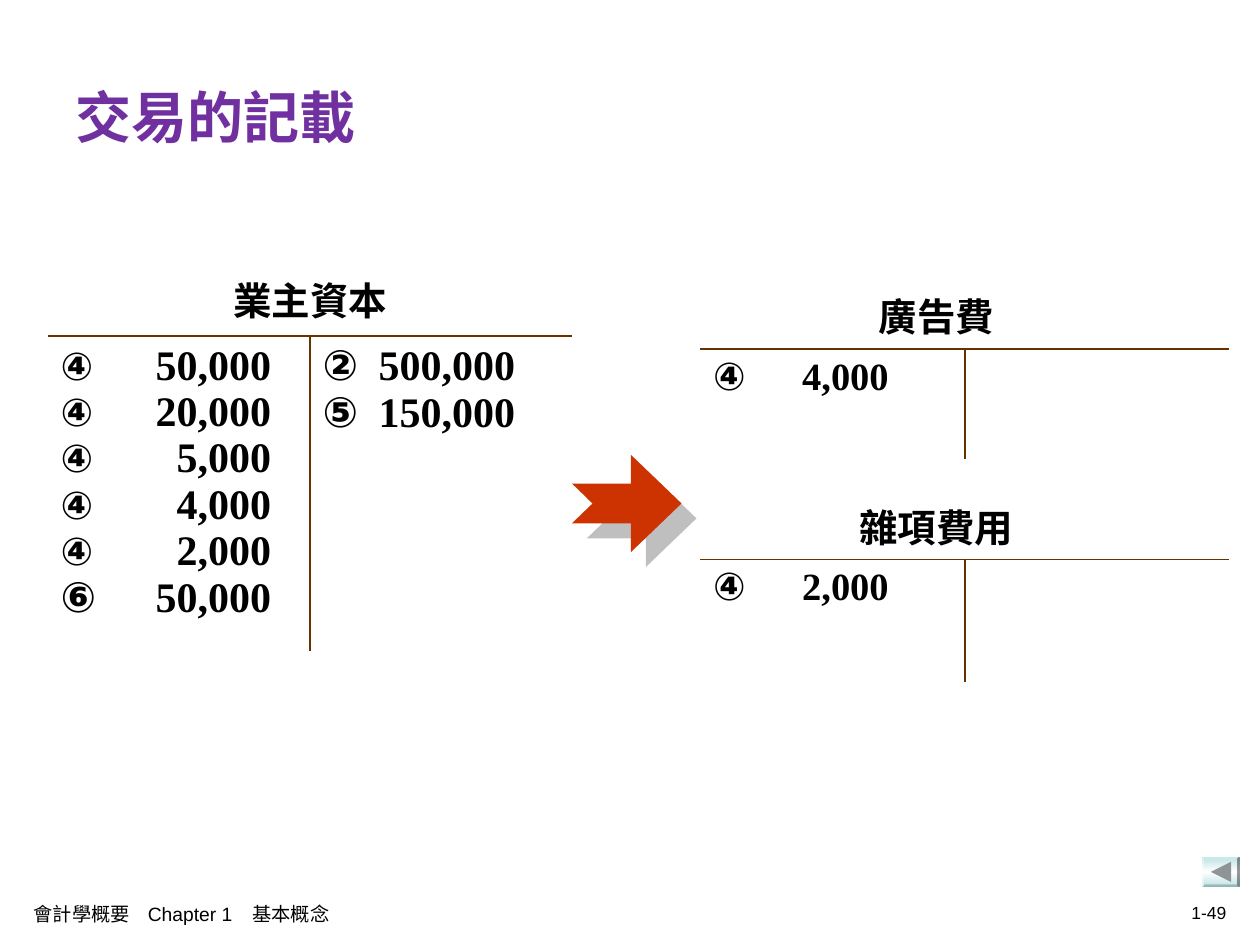
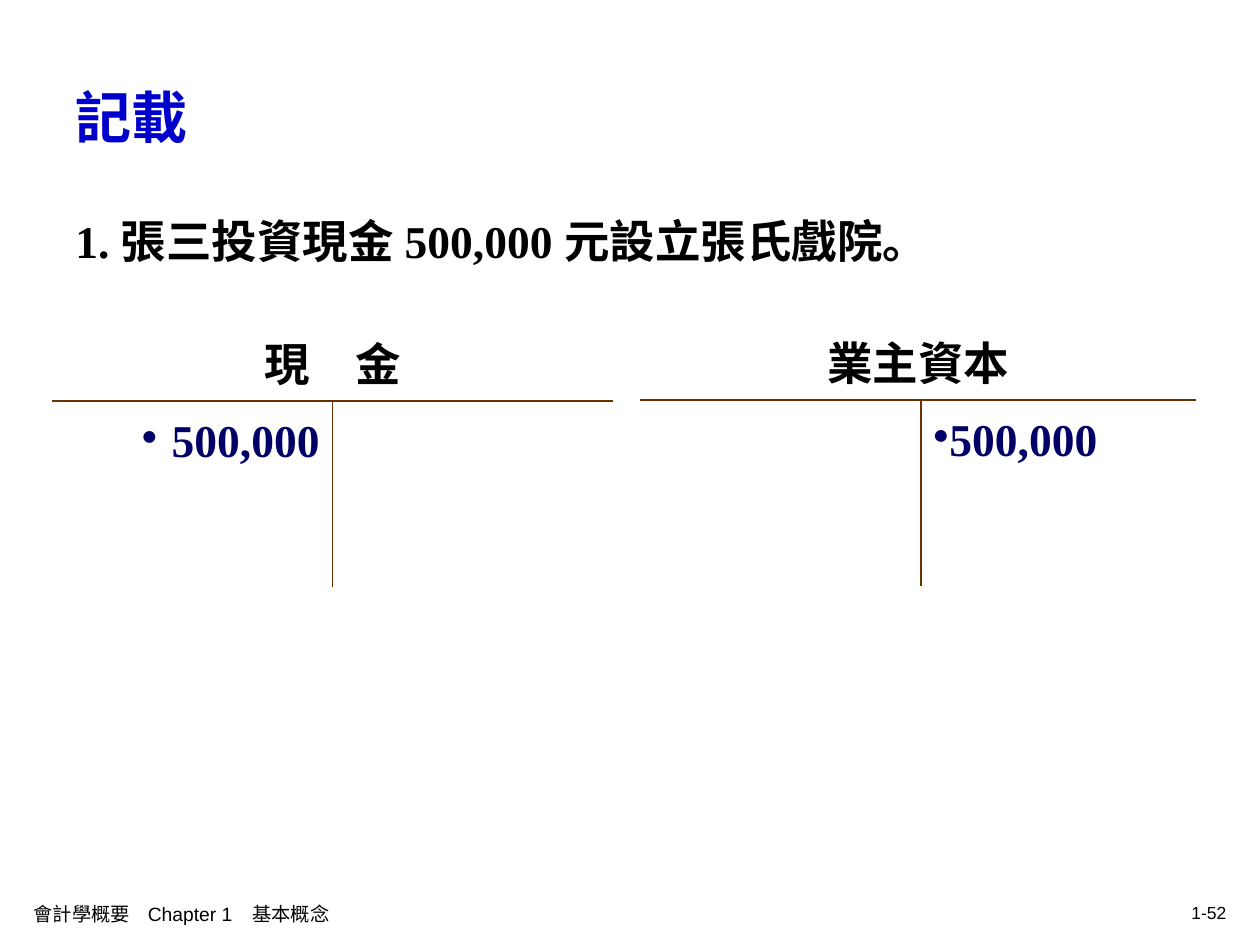
from lxml.etree import SubElement
from pptx import Presentation
from pptx.dml.color import RGBColor
from pptx.enum.shapes import MSO_SHAPE
from pptx.enum.text import MSO_ANCHOR, PP_ALIGN
from pptx.oxml import parse_xml
from pptx.oxml.ns import nsdecls, qn
from pptx.util import Cm, Pt

COLOURS = {
    "text": "000000", "purple": "7030A0", "blue": "0000CC", "navy": "000066",
    "rule": "663300", "arrow": "CC3300", "shadow": "808080",
    "button_edge": "BBE0E3", "button_middle": "FFFFFF", "button_sign": "8F9494",
}
SERIF, SANS = "Times New Roman", "Arial"
RULE_WIDTH = Pt(1.08)
FOOTER = "會計學概要\tChapter 1\t基本概念"
FOOTER_TABS = [(2.3, "l"), (4.41, "l")]

# Entries of a side are (marker, amount, marker size, amount size);
# tabs holds the right edge of the amounts on each side. Lengths in cm.
OWNER_CAPITAL = {
    "name": "業主資本", "size": 22, "left": 0.97, "top": 5.28,
    "columns": (5.28, 5.28), "rows": (1.5, 6.35), "tabs": (4.24, 3.88),
    "sides": (
        [("④", "50,000", 22, 24), ("④", "20,000", 22, 24), ("④", "5,000", 22, 24),
         ("④", "4,000", 22, 24), ("④", "2,000", 22, 24), ("⑥", "50,000", 24, 24)],
        [("②", "500,000", 24, 24), ("⑤", "150,000", 24, 24)],
    ),
}
EXPENSE = {
    "size": 22, "left": 14.12, "columns": (5.33, 5.33), "tabs": (3.54, 3.54),
    "name_spacing": 1.2, "name_margin_right": 1.4,
}
ADVERTISING = {**EXPENSE, "name": "廣告費", "top": 5.44, "rows": (1.6, 2.21),
               "sides": ([("④", "4,000", 22, 22)], [])}
SUNDRY = {**EXPENSE, "name": "雜項費用", "top": 9.68, "rows": (1.6, 2.46),
          "sides": ([("④", "2,000", 22, 22)], [])}
CASH = {"name": "現\u3000金".replace("\u3000", "　"), "size": 26, "left": 1.04, "top": 6.5,
        "columns": (5.66, 5.66), "rows": (1.58, 3.76), "sides": (["500,000"], [])}
INVESTED_CAPITAL = {"name": "業主資本", "size": 26, "left": 12.9, "top": 6.48,
                    "columns": (5.66, 5.56), "rows": (1.58, 3.76),
                    "sides": ([], ["500,000"])}

SLIDES = [
    {"title": "交易的記載", "title_colour": "purple", "number": "1-49",
     "accounts": [ADVERTISING, OWNER_CAPITAL, SUNDRY], "arrow_and_button": True},
    {"title": "記載", "title_colour": "blue", "number": "1-52",
     "transaction": "1. 張三投資現金 500,000 元設立張氏戲院。",
     "accounts": [CASH, INVESTED_CAPITAL]},
]


def colour(name):
    return RGBColor.from_string(COLOURS[name])


def set_font(font, size, name=SERIF, bold=True, colour_name="text"):
    font.size, font.name, font.bold = Pt(size), name, bold
    font.color.rgb = colour(colour_name)


def set_tabs(paragraph, tabs):
    tab_list = SubElement(paragraph._p.get_or_add_pPr(), qn("a:tabLst"))
    for position, alignment in tabs:
        SubElement(tab_list, qn("a:tab"), pos=str(Cm(position)), algn=alignment)


def add_text(slide, text, box, size, anchor=MSO_ANCHOR.MIDDLE, tabs=(), **font):
    frame = slide.shapes.add_textbox(*map(Cm, box)).text_frame
    frame.word_wrap = True
    frame.vertical_anchor = anchor
    paragraph = frame.paragraphs[0]
    paragraph.text = text
    if tabs:
        set_tabs(paragraph, tabs)
    set_font(paragraph.font, size, **font)
    return paragraph


def draw_borders(cell, edges):
    """Rule the named edges (L, R, T, B) of a cell and clear the others."""
    properties = cell._tc.get_or_add_tcPr()
    for position, edge in enumerate("LRTB"):
        width = RULE_WIDTH if edge in edges else 0
        paint = (f'<a:solidFill><a:srgbClr val="{COLOURS["rule"]}"/></a:solidFill>'
                 if edge in edges else "<a:noFill/>")
        properties.insert(position, parse_xml(
            f'<a:ln{edge} {nsdecls("a")} w="{int(width)}">{paint}</a:ln{edge}>'))


def write_numbered_entry(paragraph, entry, tab):
    marker, amount, marker_size, amount_size = entry
    set_tabs(paragraph, [(tab, "r")])
    for text, size, font_name in ((marker, marker_size, SANS),
                                  ("\t" + amount, amount_size, SERIF)):
        run = paragraph.add_run()
        run.text = text
        set_font(run.font, size, font_name)


def write_bulleted_entry(paragraph, amount, size, alignment):
    paragraph.text = amount
    paragraph.alignment = alignment
    paragraph.line_spacing = 1.2
    properties = paragraph._p.get_or_add_pPr()
    bullet_colour = SubElement(properties, qn("a:buClr"))
    SubElement(bullet_colour, qn("a:srgbClr"), val=COLOURS["navy"])
    SubElement(properties, qn("a:buChar"), char="•")
    set_font(paragraph.font, size, colour_name="navy")


def add_account(slide, account):
    """Draw a T account: its name above a rule, debits left and credits right."""
    columns, rows = account["columns"], account["rows"]
    table = slide.shapes.add_table(
        2, 2, Cm(account["left"]), Cm(account["top"]),
        Cm(sum(columns)), Cm(sum(rows))).table
    table.first_row = table.horz_banding = False
    for column, width in zip(table.columns, columns):
        column.width = Cm(width)
    for row, height in zip(table.rows, rows):
        row.height = Cm(height)
    for cell in table.iter_cells():
        cell.fill.background()

    heading = table.cell(0, 0)
    heading.merge(table.cell(0, 1))
    heading.vertical_anchor = MSO_ANCHOR.MIDDLE
    if "name_margin_right" in account:
        heading.margin_right = Cm(account["name_margin_right"])
    paragraph = heading.text_frame.paragraphs[0]
    paragraph.text = account["name"]
    paragraph.alignment = PP_ALIGN.CENTER
    paragraph.line_spacing = account.get("name_spacing")
    set_font(paragraph.font, account["size"])
    for index in range(2):
        draw_borders(table.cell(0, index), "B")

    for index, entries in enumerate(account["sides"]):
        cell = table.cell(1, index)
        draw_borders(cell, ("TR", "TL")[index])
        frame = cell.text_frame
        for number, entry in enumerate(entries):
            paragraph = frame.add_paragraph() if number else frame.paragraphs[0]
            if "tabs" in account:
                write_numbered_entry(paragraph, entry, account["tabs"][index])
            else:
                write_bulleted_entry(paragraph, entry, account["size"],
                                     (PP_ALIGN.RIGHT, PP_ALIGN.LEFT)[index])


def add_plain_shape(slide, kind, box, fill):
    shape = slide.shapes.add_shape(kind, *map(Cm, box))
    shape.shadow.inherit = False
    shape.line.fill.background()
    shape.fill.solid()
    shape.fill.fore_color.rgb = colour(fill)
    return shape


def add_arrow(slide):
    arrow = add_plain_shape(slide, MSO_SHAPE.NOTCHED_RIGHT_ARROW,
                            (11.53, 9.17, 2.21, 1.96), "arrow")
    arrow.adjustments[0], arrow.adjustments[1] = 0.41, 0.52
    effects = arrow._element.spPr.find(qn("a:effectLst"))
    effects.append(parse_xml(
        f'<a:outerShdw {nsdecls("a")} dist="{Pt(12.1)}" dir="2700000" algn="ctr" '
        f'rotWithShape="0"><a:srgbClr val="{COLOURS["shadow"]}">'
        '<a:alpha val="50000"/></a:srgbClr></a:outerShdw>'))


def add_back_button(slide):
    button = add_plain_shape(slide, MSO_SHAPE.BEVEL, (24.23, 17.27, 0.76, 0.62),
                             "button_edge")
    button.adjustments[0] = 0.08
    stops = "".join(
        f'<a:gs pos="{position}"><a:srgbClr val="{COLOURS[name]}"/></a:gs>'
        for position, name in ((0, "button_edge"), (50000, "button_middle"),
                               (100000, "button_edge")))
    properties = button._element.spPr
    properties.replace(properties.find(qn("a:solidFill")), parse_xml(
        f'<a:gradFill {nsdecls("a")} rotWithShape="1"><a:gsLst>{stops}</a:gsLst>'
        '<a:lin ang="5400000" scaled="1"/></a:gradFill>'))
    sign = add_plain_shape(slide, MSO_SHAPE.ISOSCELES_TRIANGLE,
                           (24.41, 17.37, 0.41, 0.41), "button_sign")
    sign.rotation = 270


def add_transaction(slide, text):
    paragraph = add_text(slide, text, (1.27, 3.94, 22.86, 2.54), 26, MSO_ANCHOR.TOP)
    paragraph.line_spacing = 1.2
    properties = paragraph._p.get_or_add_pPr()
    properties.set("marL", str(Cm(0.97)))
    properties.set("indent", str(-Cm(0.97)))


def add_slide(presentation, content):
    slide = presentation.slides.add_slide(presentation.slide_layouts[6])
    if "transaction" in content:
        add_transaction(slide, content["transaction"])
    for account in content["accounts"]:
        add_account(slide, account)
    if content.get("arrow_and_button"):
        add_arrow(slide)
        add_back_button(slide)
    add_text(slide, FOOTER, (0.43, 18.01, 11.35, 0.84), 11, tabs=FOOTER_TABS,
             name=SANS, bold=False)
    number = add_text(slide, content["number"], (18.21, 17.98, 6.76, 0.84), 10,
                      name=SANS, bold=False)
    number.alignment = PP_ALIGN.RIGHT
    add_text(slide, content["title"], (1.27, 0.76, 22.86, 3.18), 32,
             colour_name=content["title_colour"])


def main():
    presentation = Presentation()
    presentation.slide_width, presentation.slide_height = Cm(25.4), Cm(19.05)
    for content in SLIDES:
        add_slide(presentation, content)
    presentation.save("out.pptx")


if __name__ == "__main__":
    main()
